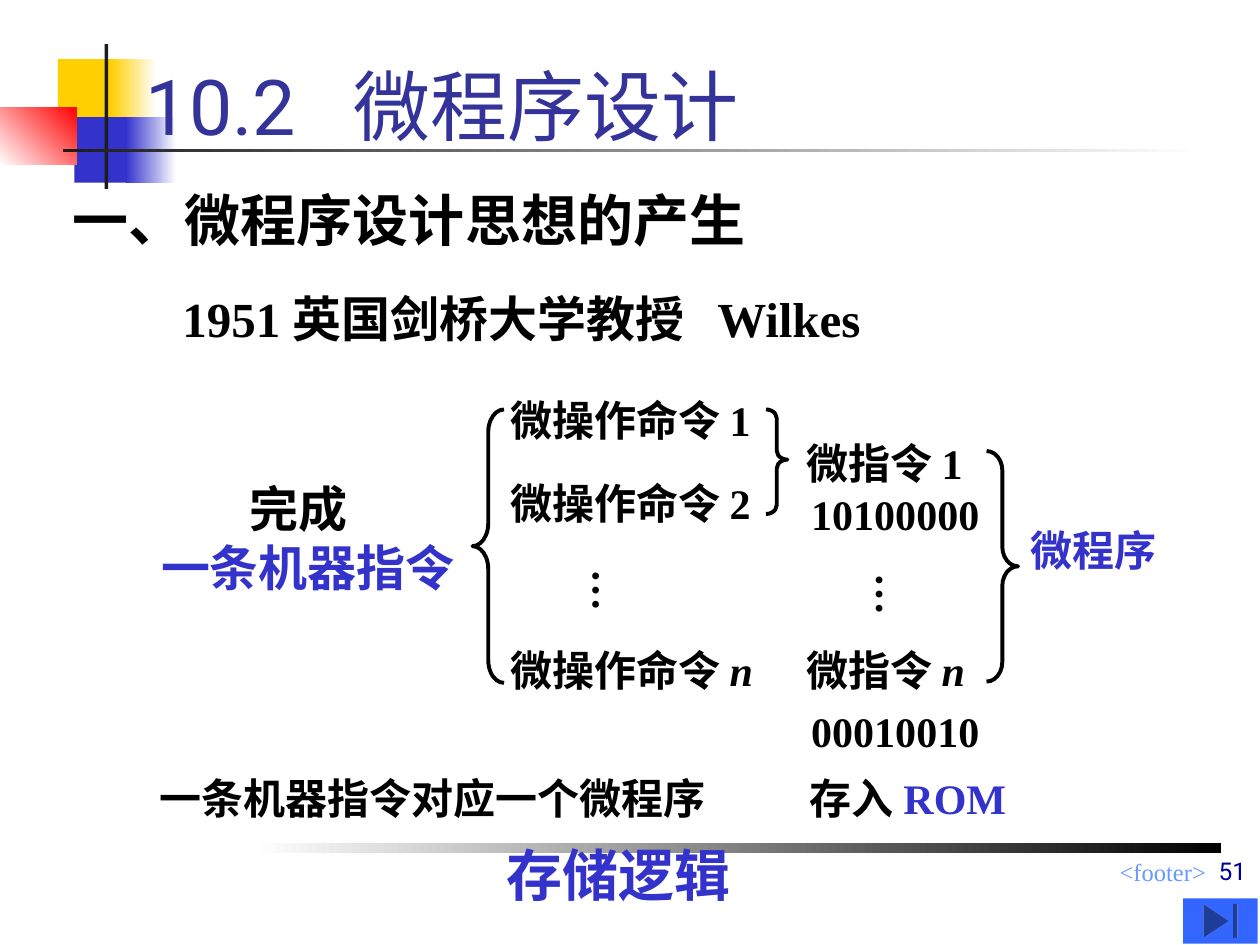
from pptx import Presentation
from pptx.dml.color import RGBColor
from pptx.enum.shapes import MSO_SHAPE
from pptx.enum.text import MSO_ANCHOR, MSO_AUTO_SIZE, PP_ALIGN
from pptx.util import Inches, Pt

RECTANGLE = MSO_SHAPE.RECTANGLE
LEFT_BRACE = MSO_SHAPE.LEFT_BRACE
RIGHT_BRACE = MSO_SHAPE.RIGHT_BRACE
END_BUTTON = MSO_SHAPE.ACTION_BUTTON_END
TOP, BOTTOM = MSO_ANCHOR.TOP, MSO_ANCHOR.BOTTOM
RIGHT = PP_ALIGN.RIGHT
GROW, FIXED = MSO_AUTO_SIZE.SHAPE_TO_FIT_TEXT, MSO_AUTO_SIZE.NONE

COLORS = {
    "black": "000000", "white": "FFFFFF", "yellow": "FFCF01",
    "blue": "3333CC", "red": "FF0000", "dark": "1C1C1C",
    "title": "333399", "footer": "6699FF", "number": "000099",
    "button": "3366FF",
}
SERIF, SANS = "Times New Roman", "Roboto"

DECORATIONS = [
    ((0.46, 0.47, 0.48, 0.52), ["yellow"], None),
    ((0.88, 0.47, 0.36, 0.52), ["white", "yellow"], 180),
    ((0.59, 0.93, 0.46, 0.52), ["blue"], None),
    ((1, 0.93, 0.4, 0.52), ["white", "blue"], 180),
    ((0, 0.85, 0.61, 0.46), ["red", "white"], 225),
    ((0.83, 0.35, 0.03, 1.15), ["dark"], None),
    ((0.5, 1.18, 9, 0.03), ["white", "dark"], 180),
    ((2.02, 6.69, 7.67, 0.08), ["black", "white"], 180),
]

BRACES = [
    (LEFT_BRACE, (3.75, 3.25, 0.25, 2.17), (0.72, 0.5)),
    (RIGHT_BRACE, (6.08, 3.25, 0.17, 0.83), (0.41, 0.48)),
    (RIGHT_BRACE, (7.83, 3.58, 0.25, 1.83), (0.62, 0.5)),
]

ITALIC = {"italic": True}
BLUE = {"color": "blue"}
PLAIN = {"bold": False}

FRAMED_TEXTS = [
    ((3.92, 6.75, 5.75, 0.26), "<footer>", TOP, RIGHT,
     {"size": 14, "color": "footer", **PLAIN}),
    ((1.06, 0, 8.5, 1.25), "10.2   微程序设计", BOTTOM, None,
     {"size": 44, "name": SANS, "color": "title", **PLAIN}),
    ((5.21, 6.58, 4.78, 0.5), "51", BOTTOM, RIGHT,
     {"size": 14, "name": SANS, "color": "number", **PLAIN}),
]

WRAPPED_TEXTS = [
    ((0.48, 1.42, 6.68, 0.64), [("一、微程序设计思想的产生", {"size": 32})]),
    ((3.92, 6.62, 3.52, 0.64), [("存储逻辑", {"size": 32, **BLUE})]),
    ((6.33, 6.08, 2, 0.5), [("存入 ", {}), ("ROM", BLUE)]),
]

LABELS = [
    ((1.35, 2.24, 5.77, 0.57), [("1951 英国剑桥大学教授   Wilkes", {"size": 28})]),
    ((3.95, 3.08, 2.19, 0.5), [("微操作命令 1", {})]),
    ((3.95, 3.74, 2.19, 0.5), [("微操作命令 2", {})]),
    ((3.95, 5.07, 2.21, 0.5), [("微操作命令 ", {}), ("n", ITALIC)]),
    ((6.3, 3.42, 1.52, 0.5), [("微指令 1", {})]),
    ((6.34, 3.83, 1.53, 0.5), [("10100000", {})]),
    ((6.3, 5.07, 1.54, 0.5), [("微指令 ", {}), ("n", ITALIC)]),
    ((6.34, 5.55, 1.53, 0.5), [("00010010", {})]),
    ((8.08, 4.11, 1.2, 0.5), [("微程序", BLUE)]),
    ((1.17, 6.08, 4.53, 0.5), [("一条机器指令对应一个微程序", {})]),
]

ELLIPSES = [(4.49, 4.42, 0.6, 0.44), (6.74, 4.45, 0.6, 0.44)]

INSTRUCTION_BOX = (1.18, 3.75, 2.53, 1.04)
INSTRUCTION_INDENT = 0.7


def rgb(name):
    return RGBColor.from_string(COLORS[name])


def add_shape(slide, kind, box):
    shape = slide.shapes.add_shape(kind, *map(Inches, box))
    shape.shadow.inherit = False
    shape.line.fill.background()
    return shape


def paint(shape, colors, angle=None):
    if angle is None:
        shape.fill.solid()
        shape.fill.fore_color.rgb = rgb(colors[0])
        return
    shape.fill.gradient()
    shape.fill.gradient_angle = angle
    for position, (stop, color) in enumerate(zip(shape.fill.gradient_stops, colors)):
        stop.position = position
        stop.color.rgb = rgb(color)


def add_run(paragraph, text, changes):
    values = {"size": 24, "name": SERIF, "bold": True, "color": "black", **changes}
    run = paragraph.add_run()
    run.text = text
    run.font.color.rgb = rgb(values.pop("color"))
    values["size"] = Pt(values["size"])
    for attribute, value in values.items():
        setattr(run.font, attribute, value)


def add_text(slide, box, runs, wrap=False, size=GROW, anchor=TOP, align=None):
    frame = slide.shapes.add_textbox(*map(Inches, box)).text_frame
    frame.word_wrap = wrap
    frame.auto_size = size
    frame.vertical_anchor = anchor
    paragraph = frame.paragraphs[0]
    paragraph.alignment = align
    for text, changes in runs:
        add_run(paragraph, text, changes)
    return frame


def add_ellipsis(slide, box):
    frame = add_text(slide, box, [("…", {})])
    margins = {"margin_left": 0.05, "margin_right": 0.05,
               "margin_top": 0.1, "margin_bottom": 0.1}
    for attribute, value in margins.items():
        setattr(frame, attribute, Inches(value))
    frame._txBody.bodyPr.set("vert", "eaVert")


def add_instruction(slide):
    frame = add_text(slide, INSTRUCTION_BOX, [("完成", {"size": 28})])
    properties = frame.paragraphs[0]._p.get_or_add_pPr()
    properties.set("marL", str(Inches(INSTRUCTION_INDENT)))
    add_run(frame.add_paragraph(), "一条机器指令", {"size": 28, **BLUE})


def main():
    presentation = Presentation()
    presentation.slide_width = Inches(10)
    presentation.slide_height = Inches(7.5)
    slide = presentation.slides.add_slide(presentation.slide_layouts[6])

    for box, colors, angle in DECORATIONS:
        paint(add_shape(slide, RECTANGLE, box), colors, angle)
    for box, text, anchor, align, changes in FRAMED_TEXTS:
        add_text(slide, box, [(text, changes)], True, FIXED, anchor, align)
    for box, runs in WRAPPED_TEXTS:
        add_text(slide, box, runs, wrap=True)
    for box, runs in LABELS:
        add_text(slide, box, runs)
    add_instruction(slide)
    for box in ELLIPSES:
        add_ellipsis(slide, box)
    for kind, box, adjustments in BRACES:
        brace = add_shape(slide, kind, box)
        brace.fill.background()
        brace.line.color.rgb = rgb("black")
        brace.line.width = Pt(2.25)
        for index, value in enumerate(adjustments):
            brace.adjustments[index] = value
    paint(add_shape(slide, END_BUTTON, (9.39, 7.13, 0.59, 0.36)), ["button"])

    presentation.save("out.pptx")


if __name__ == "__main__":
    main()
